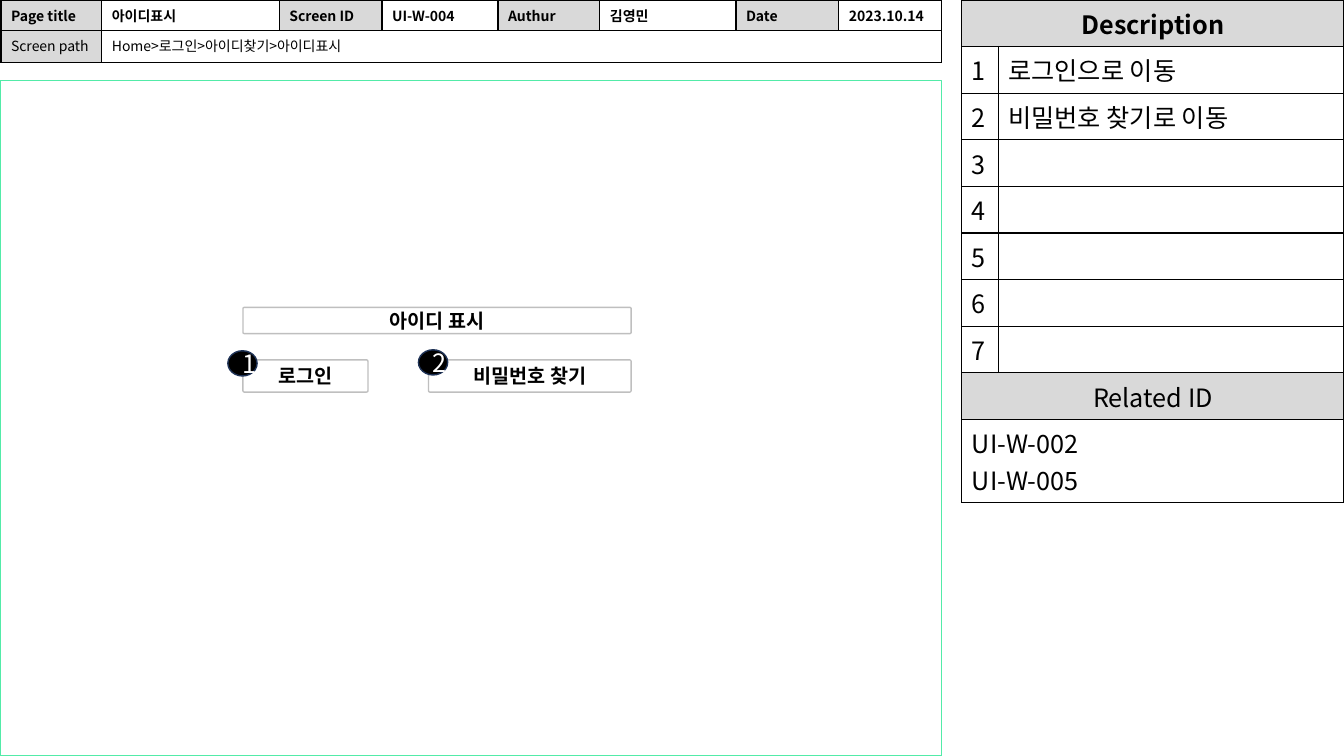
from lxml import etree
from pptx import Presentation
from pptx.dml.color import RGBColor
from pptx.enum.shapes import MSO_SHAPE
from pptx.enum.text import MSO_ANCHOR, PP_ALIGN
from pptx.oxml.ns import qn
from pptx.util import Inches, Pt

RECT, ROUNDED, OVAL = MSO_SHAPE.RECTANGLE, MSO_SHAPE.ROUNDED_RECTANGLE, MSO_SHAPE.OVAL
LEFT, CENTER = PP_ALIGN.LEFT, PP_ALIGN.CENTER
MIDDLE = MSO_ANCHOR.MIDDLE

FONT = "Noto Sans CJK KR"
BLACK = RGBColor(0x00, 0x00, 0x00)
WHITE = RGBColor(0xFF, 0xFF, 0xFF)
LABEL_GRAY = RGBColor(0xD9, 0xD9, 0xD9)
BUTTON_GRAY = RGBColor(0xBF, 0xBF, 0xBF)
CANVAS_GREEN = RGBColor(0x52, 0xEB, 0xA8)
BADGE_NAVY = RGBColor(0x1E, 0x32, 0x56)

# Content
PAGE_INFO = [
    ("Page title", "아이디표시"),
    ("Screen ID", "UI-W-004"),
    ("Authur", "김영민"),
    ("Date", "2023.10.14"),
]
SCREEN_PATH = ("Screen path", "Home>로그인>아이디찾기>아이디표시")
DESCRIPTIONS = ["로그인으로 이동", "비밀번호 찾기로 이동", "", "", "", "", ""]
RELATED_IDS = "UI-W-002\nUI-W-005"

# Layout in inches
SLIDE_W, SLIDE_H = 13.33, 7.5
CANVAS_TOP, CANVAS_W = 0.8, 9.34
INFO_COLUMNS = [1, 1.76, 1.02, 1.15, 1.01, 1.35, 1.02, 1.02]
INFO_ROWS = [0.3, 0.32]
DESCRIPTION_LEFT = 9.54
DESCRIPTION_COLUMNS = [0.36, 3.43]
DESCRIPTION_ROW, RELATED_ROW = 0.46, 0.82
FORM_LEFT, FORM_RIGHT, BUTTON_TOP = 2.41, 6.26, 3.57
SEARCH_LEFT = 4.25
BUTTONS = [
    ("비밀번호 찾기", SEARCH_LEFT, BUTTON_TOP, FORM_RIGHT - SEARCH_LEFT, 0.32),
    ("아이디 표시", FORM_LEFT, 3.05, FORM_RIGHT - FORM_LEFT, 0.26),
    ("로그인", FORM_LEFT, BUTTON_TOP, 1.24, 0.32),
]
BADGES = [("1", 2.26, 3.48), ("2", 4.15, 3.47)]


def write(frame, text, size=18, color=BLACK, bold=False, align=LEFT):
    frame.text = text
    for paragraph in frame.paragraphs:
        paragraph.alignment = align
        for run in paragraph.runs:
            font = run.font
            font.name, font.size, font.bold = FONT, Pt(size), bold
            font.color.rgb = color
            east_asian = etree.Element(qn("a:ea"), typeface=FONT)
            run._r.rPr.find(qn("a:latin")).addnext(east_asian)


def add_box(slide, kind, left, top, width, height, fill, line):
    box = slide.shapes.add_shape(
        kind, Inches(left), Inches(top), Inches(width), Inches(height))
    box.shadow.inherit = False
    box.fill.solid()
    box.fill.fore_color.rgb = fill
    box.line.color.rgb = line
    box.line.width = Pt(1)
    box.text_frame.vertical_anchor = MIDDLE
    return box


def add_grid(slide, left, columns, rows):
    """Add a table at the slide's top with white cells and thin black borders."""
    table = slide.shapes.add_table(
        len(rows), len(columns), Inches(left), 0,
        Inches(sum(columns)), Inches(sum(rows))).table
    for column, width in zip(table.columns, columns):
        column.width = Inches(width)
    for row, height in zip(table.rows, rows):
        row.height = Inches(height)
    for cell in table.iter_cells():
        properties = cell._tc.get_or_add_tcPr()
        for side in ("a:lnL", "a:lnR", "a:lnT", "a:lnB"):
            border = etree.SubElement(properties, qn(side), w=str(Pt(1)))
            paint = etree.SubElement(border, qn("a:solidFill"))
            etree.SubElement(paint, qn("a:srgbClr"), val=str(BLACK))
        shade(cell, WHITE)
    return table


def shade(cell, color):
    cell.fill.solid()
    cell.fill.fore_color.rgb = color


def add_page_info(slide):
    table = add_grid(slide, 0.01, INFO_COLUMNS, INFO_ROWS)
    for pair, (label, value) in enumerate(PAGE_INFO):
        label_cell = table.cell(0, 2 * pair)
        shade(label_cell, LABEL_GRAY)
        write(label_cell.text_frame, label, size=10, bold=True)
        write(table.cell(0, 2 * pair + 1).text_frame, value, size=10, bold=True)
    table.cell(1, 1).merge(table.cell(1, len(INFO_COLUMNS) - 1))
    shade(table.cell(1, 0), LABEL_GRAY)
    for column, text in enumerate(SCREEN_PATH):
        write(table.cell(1, column).text_frame, text, size=10)


def add_descriptions(slide):
    related = len(DESCRIPTIONS) + 1
    rows = [DESCRIPTION_ROW] * (related + 1) + [RELATED_ROW]
    table = add_grid(slide, DESCRIPTION_LEFT, DESCRIPTION_COLUMNS, rows)
    for row in (0, related, related + 1):
        table.cell(row, 0).merge(table.cell(row, 1))
    for row, heading, bold in ((0, "Description", True), (related, "Related ID", False)):
        shade(table.cell(row, 0), LABEL_GRAY)
        write(table.cell(row, 0).text_frame, heading, bold=bold, align=CENTER)
    for number, description in enumerate(DESCRIPTIONS, 1):
        write(table.cell(number, 0).text_frame, str(number))
        write(table.cell(number, 1).text_frame, description)
    write(table.cell(related + 1, 0).text_frame, RELATED_IDS)


def main():
    deck = Presentation()
    deck.slide_width, deck.slide_height = Inches(SLIDE_W), Inches(SLIDE_H)
    slide = deck.slides.add_slide(deck.slide_layouts[6])

    add_box(slide, RECT, 0, CANVAS_TOP, CANVAS_W, SLIDE_H - CANVAS_TOP,
            WHITE, CANVAS_GREEN)
    for caption, *place in BUTTONS:
        button = add_box(slide, ROUNDED, *place, WHITE, BUTTON_GRAY)
        button.adjustments[0] = 0.05
        write(button.text_frame, caption, size=14, bold=True, align=CENTER)
    add_descriptions(slide)
    add_page_info(slide)
    for number, left, top in BADGES:
        badge = add_box(slide, OVAL, left, top, 0.29, 0.25, BLACK, BADGE_NAVY)
        write(badge.text_frame, number, color=WHITE, align=CENTER)

    deck.save("out.pptx")


if __name__ == "__main__":
    main()
